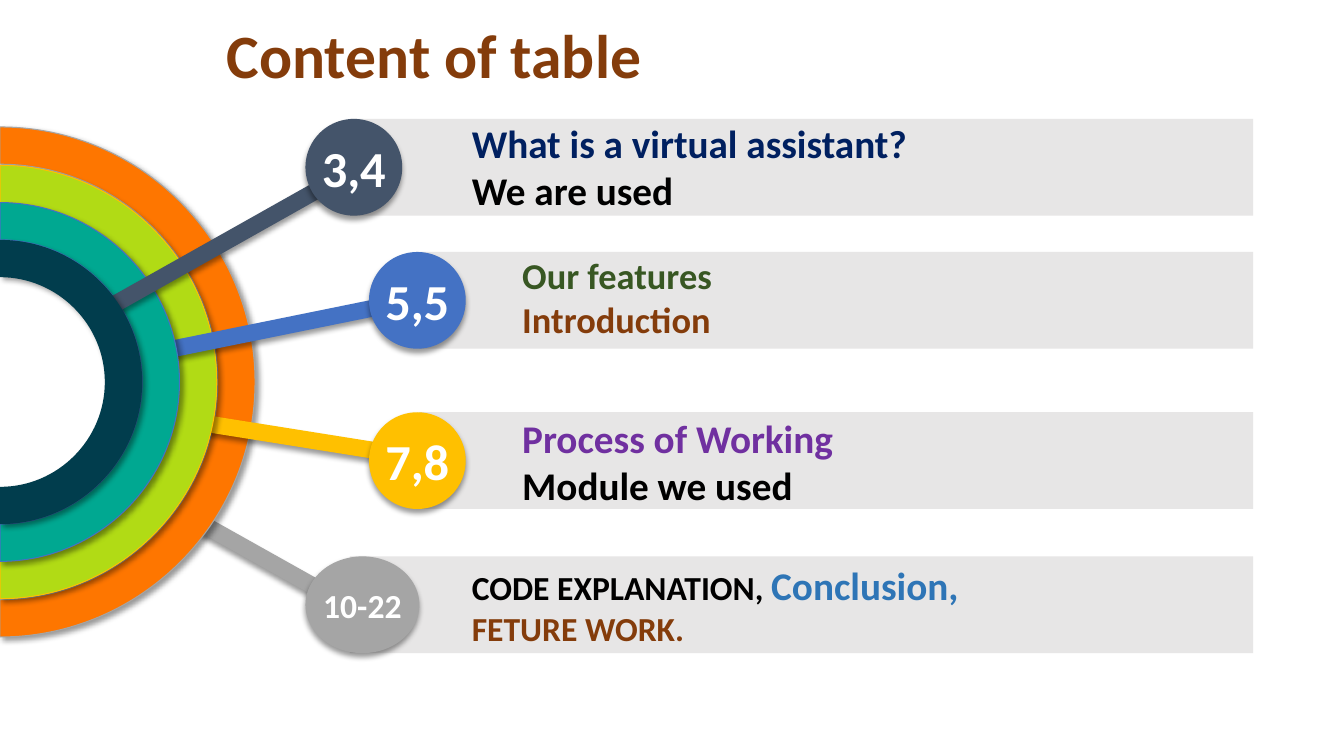
import lxml.etree
import pptx
import pptx.dml.color
import pptx.enum.shapes
import pptx.enum.text
import pptx.oxml
import pptx.oxml.ns
import pptx.util

PX = 9144  # EMU in one px, 100 px to the inch
THEME = {
    "font": "Calibri", "title": 44, "number": 36, "large": 28, "medium": 26, "small": 24,
    "white": "FFFFFF", "black": "000000", "bar": "E7E6E6", "brown": "843C0B",
    "navy": "002060", "green": "385723", "purple": "7030A0", "sky": "2E75B6",
    "slate": "44546A", "blue": "4472C4", "gold": "FFC000", "gray": "A5A5A5",
    "orange": "FE7600", "lime": "B1DB15", "teal": "00A891", "petrol": "013D4D",
}
RGB = {k: pptx.dml.color.RGBColor.from_string(v) for k, v in THEME.items()
       if isinstance(v, str) and k != "font"}
SHAPE = pptx.enum.shapes.MSO_SHAPE
ANCHOR = pptx.enum.text.MSO_ANCHOR
ALIGN = pptx.enum.text.PP_ALIGN
AUTO = pptx.enum.text.MSO_AUTO_SIZE


def write(sp, lines, anchor=ANCHOR.MIDDLE, align=ALIGN.LEFT, inset=0, spacing=None,
          auto_size=AUTO.NONE):
    """Fill a shape with lines, each a list of (text, size, colour) runs."""
    tf = sp.text_frame
    tf.word_wrap = True
    tf.auto_size = auto_size
    tf.vertical_anchor = anchor
    tf.margin_left = tf.margin_right = inset * PX
    tf.margin_top = tf.margin_bottom = 5 * PX
    for i, runs in enumerate(lines):
        p = tf.add_paragraph() if i else tf.paragraphs[0]
        p.alignment = align
        p.line_spacing = spacing
        for text, size, color in runs:
            r = p.add_run()
            r.text = text
            r.font.name = THEME["font"]
            r.font.size = pptx.util.Pt(THEME[size])
            r.font.bold = True
            r.font.color.rgb = RGB[color]


def add_shadow(sp, angle):
    """Give a shape or connector a soft black shadow."""
    sp._element.spPr.append(pptx.oxml.parse_xml(
        '<a:effectLst xmlns:a="http://schemas.openxmlformats.org/drawingml/2006/main">'
        f'<a:outerShdw blurRad="50800" dist="38100" dir="{angle * 60000}" algn="t" rotWithShape="0">'
        '<a:srgbClr val="000000"><a:alpha val="40000"/></a:srgbClr>'
        '</a:outerShdw></a:effectLst>'))


prs = pptx.Presentation()
prs.slide_width, prs.slide_height = 1333 * PX, 750 * PX
shapes = prs.slides.add_slide(prs.slide_layouts[6]).shapes

# Gray bars, all ending at the same right edge
BAR_RIGHT, BAR_HEIGHT = 1243, 96
for left, top in [(416, 409), (416, 250), (347, 552), (347, 118)]:
    sp = shapes.add_shape(SHAPE.RECTANGLE, left * PX, top * PX,
                          (BAR_RIGHT - left) * PX, BAR_HEIGHT * PX)
    sp.fill.solid()
    sp.fill.fore_color.rgb = RGB["bar"]
    sp.line.fill.background()
    sp.shadow.inherit = False

# Title
sp = shapes.add_textbox(215 * PX, 18 * PX, 896 * PX, 81 * PX)
write(sp, [[("Content of table", "title", "brown")]], inset=10, spacing=0.9)

# Topics
topics = [
    (468, 113, 104, [[("What is a virtual assistant?", "large", "navy")],
                     [("We are used", "large", "black")]]),
    (518, 245, 98, [[("Our features", "medium", "green")],
                    [("Introduction", "medium", "brown")]]),
    (518, 405, 104, [[("Process of Working", "large", "purple")],
                     [("Module we used", "large", "black")]]),
    (468, 550, 98, [[("CODE EXPLANATION, ", "small", "black"), ("Conclusion,", "large", "sky")],
                    [("FETURE WORK.", "small", "brown")]]),
]
for left, top, height, lines in topics:
    sp = shapes.add_textbox(left * PX, top * PX, 654 * PX, height * PX)
    write(sp, lines, anchor=ANCHOR.BOTTOM, auto_size=AUTO.SHAPE_TO_FIT_TEXT)

# Arms with numbered circles, each followed by its half ring, outermost first
CENTER_Y, RING_WIDTH = 379, 37
HANDLE = 0.55  # length of a quarter circle's curve handle, in radii
arms = [
    ((178, 507, 344, 600), (303, 552, 113), "10-22", "small", "gray", 253, "orange"),
    ((178, 416, 410, 453), (366, 409, 96), "7,8", "number", "gold", 215, "lime"),
    ((152, 350, 408, 298), (366, 250, 96), "5,5", "number", "blue", 178, "teal"),
    ((92, 314, 346, 171), (303, 118, 96), "3,4", "number", "slate", 141, "petrol"),
]
for ends, (left, top, width), pages, size, color, radius, ring_color in arms:
    arm = shapes.add_connector(pptx.enum.shapes.MSO_CONNECTOR.STRAIGHT, *[v * PX for v in ends])
    arm.line.color.rgb = RGB[color]
    arm.line.width = pptx.util.Pt(12)
    add_shadow(arm, 90)

    sp = shapes.add_shape(SHAPE.OVAL, left * PX, top * PX, width * PX, BAR_HEIGHT * PX)
    sp.fill.solid()
    sp.fill.fore_color.rgb = RGB[color]
    sp.line.fill.background()
    add_shadow(sp, 90)
    write(sp, [[(pages, size, "white")]], align=ALIGN.CENTER)

    # Down the outer edge and back up the inner one, two quarter curves each
    outline = [(r * x * PX, (CENTER_Y + way * r * y) * PX)
               for r, way in [(radius, 1), (radius - RING_WIDTH, -1)]
               for x, y in [(0, -1), (HANDLE, -1), (1, -HANDLE), (1, 0),
                            (1, HANDLE), (HANDLE, 1), (0, 1)]]
    fb = shapes.build_freeform(*outline[0])
    fb.add_line_segments(outline[1:], close=True)
    ring = fb.convert_to_shape()
    steps = list(ring._element.iter(pptx.oxml.ns.qn("a:lnTo")))
    for start in (0, 3, 7, 10):
        curve = lxml.etree.Element(pptx.oxml.ns.qn("a:cubicBezTo"))
        steps[start].addprevious(curve)
        for step in steps[start:start + 3]:
            curve.append(step[0])
            step.getparent().remove(step)

    ring.fill.solid()
    ring.fill.fore_color.rgb = RGB[ring_color]
    if ring_color == "petrol":
        ring.line.fill.background()
    else:
        ring.line.color.rgb = RGB[color]
        ring.line.width = 0
    add_shadow(ring, 45)

prs.save("out.pptx")
